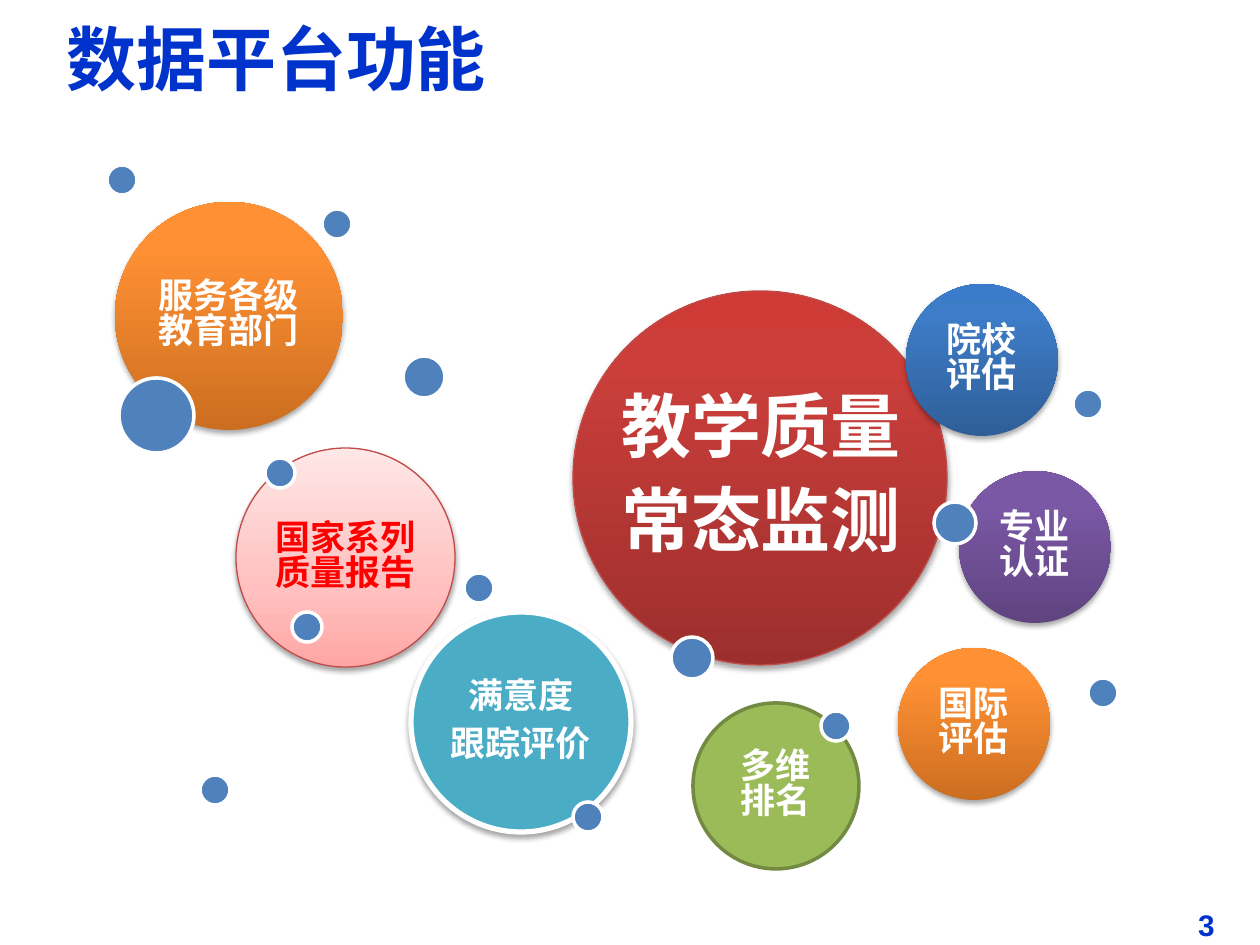
from lxml import etree
from pptx import Presentation
from pptx.dml.color import RGBColor
from pptx.enum.shapes import MSO_SHAPE
from pptx.enum.text import MSO_ANCHOR, PP_ALIGN
from pptx.oxml.ns import qn
from pptx.util import Emu, Pt

PIXEL = 914400 // 126
OVAL = MSO_SHAPE.OVAL
MIDDLE = MSO_ANCHOR.MIDDLE
LEFT, CENTER, RIGHT = PP_ALIGN.LEFT, PP_ALIGN.CENTER, PP_ALIGN.RIGHT
CJK_FONT = "Noto Sans CJK SC"
COLORS = {"title": "0033CC", "white": "FFFFFF", "red": "FF0000", "dot": "4F81BD",
          "border": "BF4C48", "green": "9BBB59", "olive": "738A42", "teal": "4BACC6"}
# Gradient stops (position, colour) run from the bottom of a circle to its top.
GRADIENTS = {
    "orange": [(0, "CC6E20"), (80, "FF9034"), (100, "FF9136")],
    "pink": [(0, "FFA6A5"), (35, "FFC0BF"), (100, "FFE7E7")],
    "crimson": [(0, "9C2F2D"), (80, "CB3E3A"), (100, "CE3B37")],
    "blue": [(0, "2F5F99"), (80, "3D7CC7"), (100, "3A7CCB")],
    "purple": [(0, "5F4480"), (80, "7B58A6"), (100, "7C57A8")],
}
# left, top, diameter, fill, line, line width, shadow, text colour, paragraphs
BUBBLES = [
    (115, 202, 228, "orange", None, 0, True, "white", ["服务各级教育部门"]),
    (236, 448, 219, "pink", "border", 0.75, True, "red", ["国家系列质量报告"]),
    (573, 291, 374, "crimson", "border", 0.75, True, "white", []),
    (906, 284, 152, "blue", None, 0, True, "white", ["院校评估"]),
    (959, 471, 152, "purple", None, 0, True, "white", ["专业认证"]),
    (898, 648, 152, "orange", None, 0, True, "white", ["国际评估"]),
    (693, 703, 166, "green", "olive", 2, False, "white", ["多维排名"]),
    (411, 612, 220, "teal", "white", 3, True, "white", ["满意度", "跟踪评价"]),
]
# diameter: (left, top) of each dot
DOTS = {
    30: [(1073, 389), (1088, 678), (265, 458), (464, 573), (292, 612), (322, 209),
         (107, 165), (200, 775), (573, 802), (821, 711)],
    42: [(671, 637), (403, 356), (934, 502)],
    75: [(119, 378)],
}


def px(value):
    """Turn pixels into EMU."""
    return Emu(int(value * PIXEL))


def color(name):
    """Look up a named colour."""
    return RGBColor.from_string(COLORS[name])


def add_run(paragraph, text, size, color_name, font_name):
    """Add a bold run with Latin and East Asian fonts."""
    run = paragraph.add_run()
    run.text = text
    run.font.size = Pt(size)
    run.font.bold = True
    run.font.name = font_name
    run.font.color.rgb = color(color_name)
    east_asian = etree.SubElement(run.font._element, qn("a:ea"))
    east_asian.set("typeface", CJK_FONT)
    return run


def add_paragraphs(frame, texts, size, color_name):
    """Fill a text frame with centred, closely set paragraphs."""
    for index, text in enumerate(texts):
        paragraph = frame.add_paragraph() if index else frame.paragraphs[0]
        paragraph.alignment = CENTER
        paragraph.line_spacing = 0.83
        paragraph.space_after = Pt(size * 0.35)
        add_run(paragraph, text, size, color_name, CJK_FONT)


def add_text_box(slide, left, top, width, height):
    """Add a wrapping, vertically centred text box and return its frame."""
    frame = slide.shapes.add_textbox(px(left), px(top), px(width), px(height)).text_frame
    frame.word_wrap = True
    frame.vertical_anchor = MIDDLE
    return frame


def set_fill(shape, name):
    """Apply a solid colour or a bottom-to-top gradient."""
    if name not in GRADIENTS:
        shape.fill.solid()
        shape.fill.fore_color.rgb = color(name)
        return
    shape.fill.gradient()
    shape.fill.gradient_angle = 90
    stops = shape._element.spPr.find(".//" + qn("a:gsLst"))
    for stop in list(stops):
        stops.remove(stop)
    for position, value in GRADIENTS[name]:
        stop = etree.SubElement(stops, qn("a:gs"), pos=str(position * 1000))
        etree.SubElement(stop, qn("a:srgbClr"), val=value)


def add_shadow(shape):
    """Add a soft shadow below a shape."""
    effects = shape._element.spPr.find(qn("a:effectLst"))
    shadow = etree.SubElement(effects, qn("a:outerShdw"), blurRad=str(Pt(3.1)),
                              dist=str(Pt(1.8)), dir="5400000", rotWithShape="0")
    black = etree.SubElement(shadow, qn("a:srgbClr"), val="000000")
    etree.SubElement(black, qn("a:alpha"), val="35000")


def add_circle(slide, left, top, diameter, fill, line, line_width):
    """Add a circle with a fill and an optional outline."""
    shape = slide.shapes.add_shape(OVAL, px(left), px(top), px(diameter), px(diameter))
    shape.shadow.inherit = False
    set_fill(shape, fill)
    if line:
        shape.line.color.rgb = color(line)
        shape.line.width = Pt(line_width)
    else:
        shape.line.fill.background()
    return shape


def add_bubble(slide, left, top, diameter, fill, line, line_width, shadow, text_color, texts):
    """Add a labelled circle whose text keeps 36 pixels from its sides."""
    shape = add_circle(slide, left, top, diameter, fill, line, line_width)
    if shadow:
        add_shadow(shape)
    frame = shape.text_frame
    frame.word_wrap = True
    frame.vertical_anchor = MIDDLE
    frame.margin_top = frame.margin_bottom = 0
    frame.margin_left = frame.margin_right = px(max(0, 36 - 0.146 * diameter))
    add_paragraphs(frame, texts, 20, text_color)


def main():
    """Build and save the slide."""
    presentation = Presentation()
    presentation.slide_width, presentation.slide_height = px(1260), px(945)
    slide = presentation.slides.add_slide(presentation.slide_layouts[6])

    title = add_text_box(slide, 54, 9, 1063, 97).paragraphs[0]
    title.alignment = LEFT
    add_run(title, "数据平台功能", 40, "title", "Roboto Condensed")
    number = add_text_box(slide, 1153, 900, 74, 49).paragraphs[0]
    number.alignment = RIGHT
    add_run(number, "3", 17, "title", "Arial")

    for bubble in BUBBLES:
        add_bubble(slide, *bubble)
    for diameter, places in DOTS.items():
        for left, top in places:
            add_circle(slide, left, top, diameter, "dot", "white", 2)
    add_paragraphs(add_text_box(slide, 446, 373, 630, 212),
                   ["教学质量", "常态监测"], 40, "white")
    presentation.save("out.pptx")


if __name__ == "__main__":
    main()
